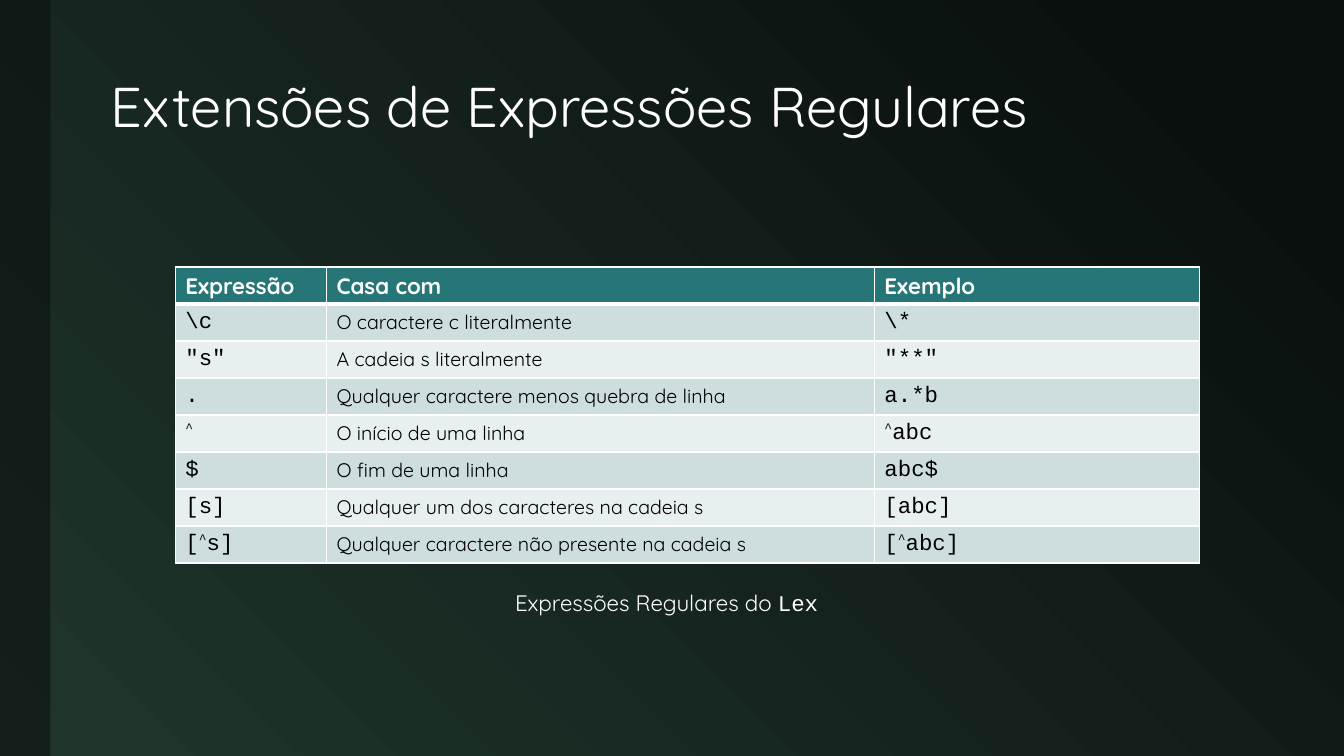
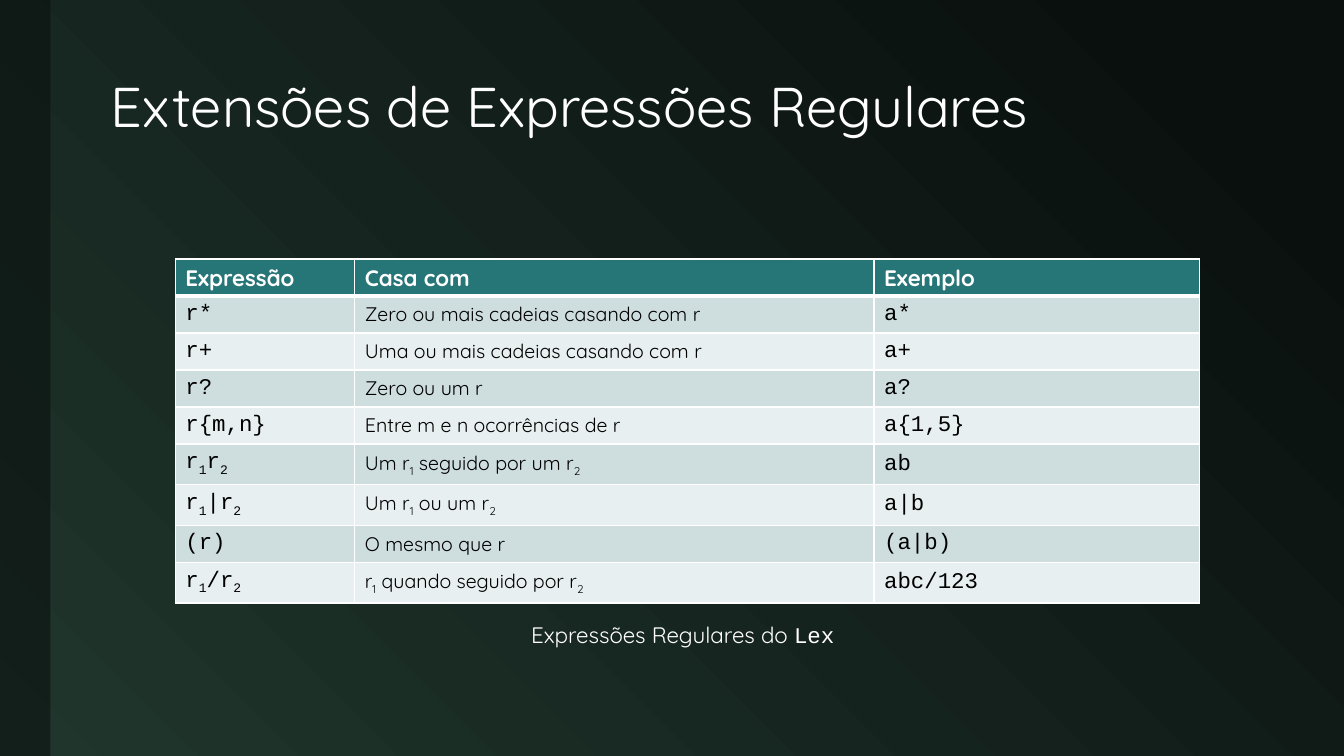
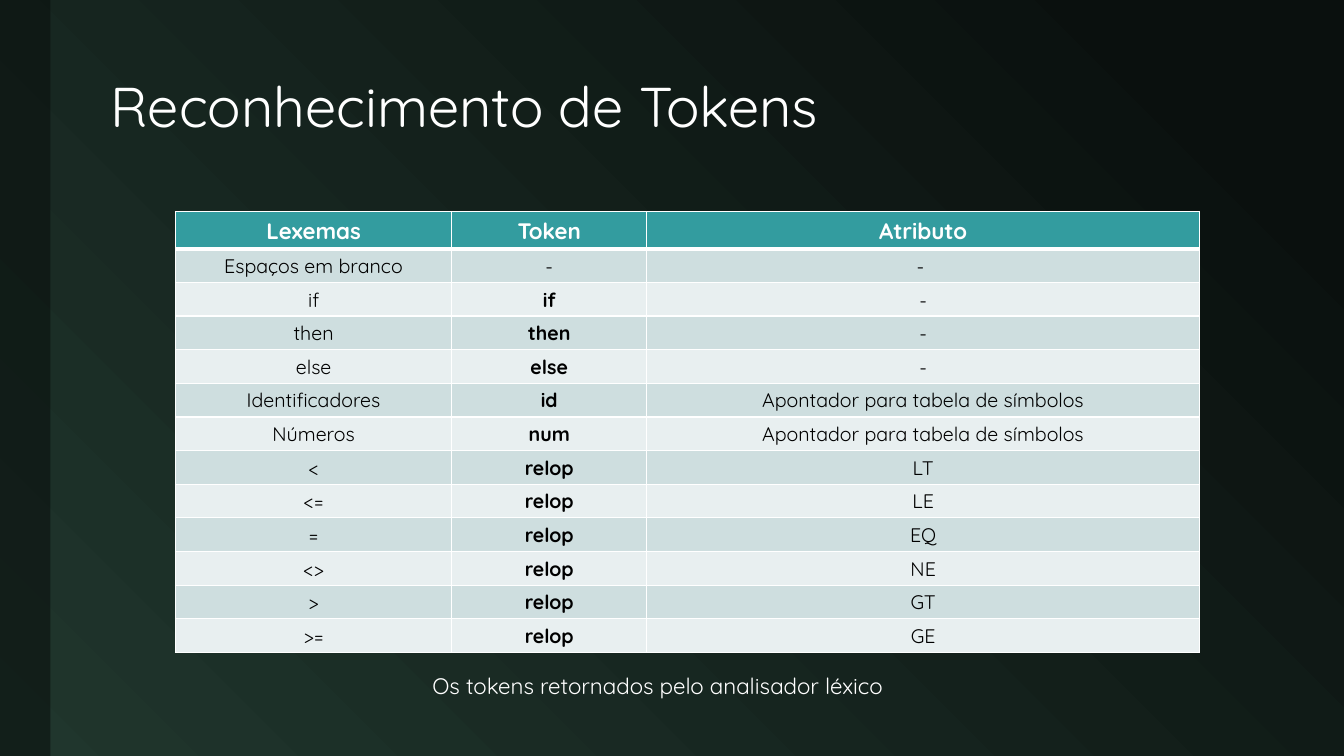
from dataclasses import dataclass
from itertools import groupby

from lxml.etree import SubElement
from pptx import Presentation
from pptx.dml.color import RGBColor as Rgb
from pptx.enum.shapes import MSO_SHAPE as Preset
from pptx.enum.text import MSO_ANCHOR as Anchor, MSO_AUTO_SIZE as AutoSize, PP_ALIGN as Align
from pptx.oxml import parse_xml
from pptx.oxml.ns import nsdecls, qn
from pptx.util import Inches, Pt


@dataclass(frozen=True)
class Theme:
    """Colours, fonts and type sizes of the deck."""
    night: str = "0A100E"
    forest: str = "20362D"
    white: str = "FFFFFF"
    black: str = "000000"
    deep_teal: str = "267577"
    teal: str = "339C9F"
    bands: tuple = ("CEDEDF", "E8EFF0")
    sans: str = "Quicksand"
    mono: str = "Courier New"
    title_size: int = 40
    label_size: int = 16
    body_size: int = 14
    thin: int = 1
    thick: int = 3


@dataclass(frozen=True)
class Type:
    """Type style of a run."""
    font: str
    size: int
    color: str
    bold: bool = False


THEME = Theme()
TITLE = Type(THEME.sans, THEME.title_size, THEME.white)
HEADER = Type(THEME.sans, THEME.label_size, THEME.white, True)
CAPTION = Type(THEME.sans, THEME.label_size, THEME.white)
CAPTION_CODE = Type(THEME.mono, THEME.label_size, THEME.white)
CODE = Type(THEME.mono, THEME.label_size, THEME.black)
BODY = Type(THEME.sans, THEME.body_size, THEME.black)
STRONG = Type(THEME.sans, THEME.body_size, THEME.black, True)

# Characters set off the baseline, in thousandths of a percent
BASELINES = {"^": 30000, "₁": -25000, "₂": -25000}
DIGITS = str.maketrans("₁₂", "12")
NO_VALUE = "-"


class Deck:
    """Holds the theme and current slide; lengths are percent of the slide size."""

    def __init__(self, theme):
        """Start a deck with the shared background."""
        self.theme = theme
        self.deck = Presentation()
        self.deck.slide_width = Inches(13.33)
        self.deck.slide_height = Inches(7.5)
        self.slide = None
        backdrop = self.deck.slide_master.background.fill
        backdrop.gradient()
        backdrop.gradient_angle = 225
        stops = zip(backdrop.gradient_stops, (theme.night, theme.forest), (0.1, 1))
        for stop, color, position in stops:
            stop.color.rgb = Rgb.from_string(color)
            stop.position = position

    def across(self, share):
        """Turn a percentage of the width into a length."""
        return round(self.deck.slide_width * share / 100)

    def down(self, share):
        """Turn a percentage of the height into a length."""
        return round(self.deck.slide_height * share / 100)

    def box(self, left, top, width, height):
        """Turn four shares into a position and size."""
        return self.across(left), self.down(top), self.across(width), self.down(height)

    def add_slide(self, title):
        """Open a slide with its side band and title."""
        self.slide = self.deck.slides.add_slide(self.deck.slide_layouts[6])
        self.side_band()
        heading = self.slide.shapes.add_textbox(*self.box(7.5, 5.6, 87.4, 17.73)).text_frame
        heading.word_wrap = True
        heading.vertical_anchor = Anchor.MIDDLE
        heading.paragraphs[0].line_spacing = 0.9
        self.add_text(heading.paragraphs[0], title, TITLE)

    def side_band(self):
        """Draw the translucent band on the left edge."""
        band = self.slide.shapes.add_shape(Preset.RECTANGLE, *self.box(0, 0, 3.75, 100))
        band.shadow.inherit = False
        band.line.fill.background()
        band.fill.solid()
        band.fill.fore_color.rgb = Rgb.from_string(self.theme.night)
        tint = band.element.spPr.find(".//" + qn("a:srgbClr"))
        SubElement(tint, qn("a:alpha"), val="60000")

    def add_text(self, paragraph, text, style):
        """Append text in one style, shifting raised and lowered characters."""
        for baseline, letters in groupby(text, lambda letter: BASELINES.get(letter, 0)):
            run = paragraph.add_run()
            run.text = "".join(letters).translate(DIGITS)
            run.font.name = style.font
            run.font.size = Pt(style.size)
            run.font.bold = style.bold
            run.font.color.rgb = Rgb.from_string(style.color)
            if baseline:
                run.font._element.set("baseline", str(baseline))

    def caption(self, left, top, width, *parts):
        """Add a one-line caption made of (text, style) parts."""
        frame = self.slide.shapes.add_textbox(*self.box(left, top, width, 4.93)).text_frame
        frame.word_wrap = False
        frame.auto_size = AutoSize.SHAPE_TO_FIT_TEXT
        for text, style in parts:
            self.add_text(frame.paragraphs[0], text, style)

    def borders(self, cell, top, bottom):
        """Give a cell white borders; top and bottom are widths in points."""
        properties = cell._tc.get_or_add_tcPr()
        sides = {"L": self.theme.thin, "R": self.theme.thin, "T": top, "B": bottom}
        for place, (side, width) in enumerate(sides.items()):
            properties.insert(place, parse_xml(
                f'<a:ln{side} {nsdecls("a")} w="{Pt(width)}"><a:solidFill>'
                f'<a:srgbClr val="{self.theme.white}"/></a:solidFill></a:ln{side}>'))

    def table(self, rows, weights, styles, top, height, row_heights, header_fill,
              align=Align.LEFT, anchor=Anchor.MIDDLE):
        """Add a banded table; row_heights holds the header's and the body's share."""
        place = self.box(13.05, top, 76.22, height)
        frame = self.slide.shapes.add_table(len(rows), len(weights), *place)
        grid = frame.table
        for column, weight in zip(grid.columns, weights):
            column.width = round(place[2] * weight / sum(weights))
        thin, thick = self.theme.thin, self.theme.thick
        for number, texts in enumerate(rows):
            is_header = number == 0
            grid.rows[number].height = self.down(row_heights[0 if is_header else 1])
            fill = header_fill if is_header else self.theme.bands[(number - 1) % 2]
            for cell, text, style in zip(grid.rows[number].cells, texts, styles):
                if is_header:
                    style = HEADER
                elif text == NO_VALUE:
                    style = BODY
                cell.fill.solid()
                cell.fill.fore_color.rgb = Rgb.from_string(fill)
                cell.vertical_anchor = anchor
                self.borders(cell, thick if number == 1 else thin, thick if is_header else thin)
                paragraph = cell.text_frame.paragraphs[0]
                paragraph.alignment = align
                self.add_text(paragraph, text, style)
        frame.height = place[3]


EXPRESSION_HEADER = ("Expressão", "Casa com", "Exemplo")
EXPRESSION_TITLE = "Extensões de Expressões Regulares"
EXPRESSION_STYLES = (CODE, BODY, CODE)
LEX_CAPTION = (("Expressões Regulares do ", CAPTION), ("Lex", CAPTION_CODE))

CHARACTER_RULES = [
    EXPRESSION_HEADER,
    ("\\c", "O caractere c literalmente", "\\*"),
    ('"s"', "A cadeia s literalmente", '"**"'),
    (".", "Qualquer caractere menos quebra de linha", "a.*b"),
    ("^", "O início de uma linha", "^abc"),
    ("$", "O fim de uma linha", "abc$"),
    ("[s]", "Qualquer um dos caracteres na cadeia s", "[abc]"),
    ("[^s]", "Qualquer caractere não presente na cadeia s", "[^abc] "),
]

OPERATOR_RULES = [
    EXPRESSION_HEADER,
    ("r*", "Zero ou mais cadeias casando com r", "a*"),
    ("r+", "Uma ou mais cadeias casando com r", "a+"),
    ("r?", "Zero ou um r", "a?"),
    ("r{m,n}", "Entre m e n ocorrências de r", "a{1,5}"),
    ("r₁r₂", "Um r₁ seguido por um r₂", "ab"),
    ("r₁|r₂", "Um r₁ ou um r₂", "a|b"),
    ("(r)", "O mesmo que r", "(a|b)"),
    ("r₁/r₂", "r₁ quando seguido por r₂", "abc/123"),
]

SYMBOL_POINTER = "Apontador para tabela de símbolos"
COMPARISONS = {"<": "LT", "<=": "LE", "=": "EQ", "<>": "NE", ">": "GT", ">=": "GE"}
TOKENS = [
    ("Lexemas", "Token", "Atributo"),
    ("Espaços em branco", NO_VALUE, "- "),
    *((keyword, keyword, NO_VALUE) for keyword in ("if", "then", "else")),
    ("Identificadores", "id", SYMBOL_POINTER),
    ("Números", "num", SYMBOL_POINTER),
    *((sign, "relop", name) for sign, name in COMPARISONS.items()),
]


def main():
    """Build the three slides and save them."""
    lesson = Deck(THEME)

    lesson.add_slide(EXPRESSION_TITLE)
    lesson.table(CHARACTER_RULES, (1.5, 5.44, 3.23), EXPRESSION_STYLES,
                 35.33, 39.07, (4.4, 4), THEME.deep_teal)
    lesson.caption(37.58, 77.33, 24.83, *LEX_CAPTION)

    lesson.add_slide(EXPRESSION_TITLE)
    lesson.table(OPERATOR_RULES, (1.78, 5.15, 3.23), EXPRESSION_STYLES,
                 34.27, 44, (4.4, 4), THEME.deep_teal)
    lesson.caption(38.78, 81.47, 24.83, *LEX_CAPTION)

    lesson.add_slide("Reconhecimento de Tokens")
    lesson.table(TOKENS, (2.74, 1.93, 5.48), (BODY, STRONG, BODY),
                 28, 58.27, (3.33, 3.33), THEME.teal, Align.CENTER, Anchor.TOP)
    lesson.caption(31.43, 88.27, 37.13, ("Os tokens retornados pelo analisador léxico", CAPTION))

    lesson.deck.save("out.pptx")


main()
